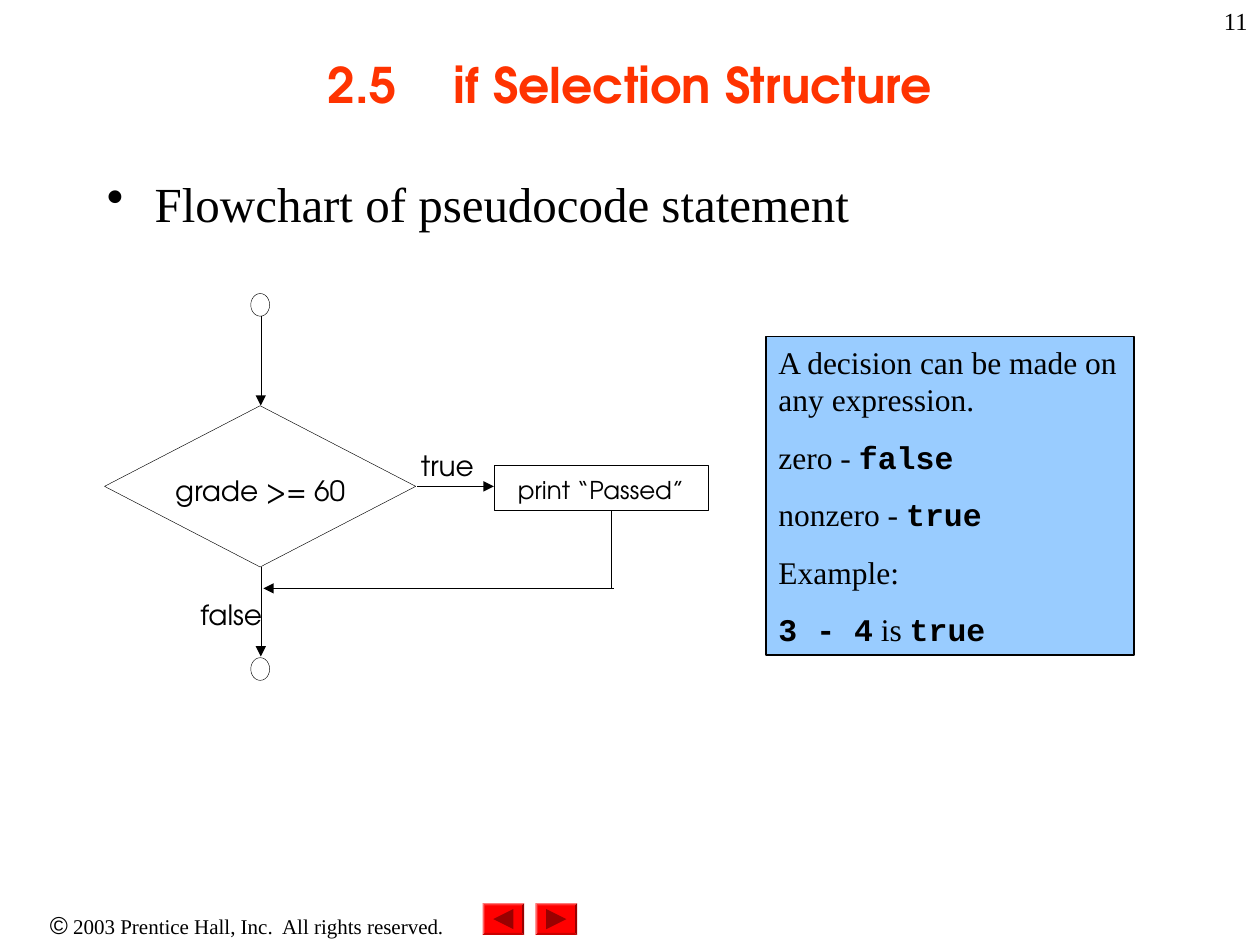
from lxml import etree
from pptx import Presentation
from pptx.dml.color import RGBColor
from pptx.enum import shapes, text
from pptx.oxml.ns import qn
from pptx.util import Inches, Pt

COLORS = {
    "text": "000000",
    "title": "FF3300",
    "note": "99CCFF",
    "paper": "FFFFFF",
    "button": "FF0000",
    "symbol": "990000",
}
SERIF, SANS, MONO, SYMBOL = "Times New Roman", "TeX Gyre Adventor", "Courier New", "Arial"
LEFT, CENTER, RIGHT = text.PP_ALIGN.LEFT, text.PP_ALIGN.CENTER, text.PP_ALIGN.RIGHT
MSO = shapes.MSO_SHAPE


class SlideBuilder:
    def __init__(self, slide):
        self.slide = slide

    def color(self, name):
        return RGBColor.from_string(COLORS[name])

    def paint(self, sp, fill=None, line=None):
        sp.shadow.inherit = False
        if fill:
            sp.fill.solid()
            sp.fill.fore_color.rgb = self.color(fill)
        else:
            sp.fill.background()
        if line:
            sp.line.color.rgb = self.color("text")
            sp.line.width = Pt(line)
        else:
            sp.line.fill.background()

    def shape(self, kind, x, y, w, h, fill=None, line=None):
        sp = self.slide.shapes.add_shape(kind, Inches(x), Inches(y), Inches(w), Inches(h))
        self.paint(sp, fill, line)
        return sp

    def line(self, x1, y1, x2, y2, arrow=True):
        cx = self.slide.shapes.add_connector(
            shapes.MSO_CONNECTOR.STRAIGHT, Inches(x1), Inches(y1), Inches(x2), Inches(y2))
        cx.line.color.rgb = self.color("text")
        cx.line.width = Pt(0.25)
        spPr = cx._element.spPr
        if arrow:
            etree.SubElement(spPr.find(qn("a:ln")), qn("a:tailEnd"), type="triangle")
        etree.SubElement(spPr, qn("a:effectLst"))

    def fill_text(self, tf, paragraphs, align=LEFT, before=0, margins=(0.1, 0.05), wrap=True):
        tf.word_wrap = wrap
        tf.margin_left = tf.margin_right = Inches(margins[0])
        tf.margin_top = tf.margin_bottom = Inches(margins[1])
        for i, runs in enumerate(paragraphs):
            p = tf.add_paragraph() if i else tf.paragraphs[0]
            p.alignment = align
            if i:
                p.space_before = Pt(before)
            for content, font, size, bold, color in runs:
                r = p.add_run()
                r.text = content
                r.font.name = font
                r.font.size = Pt(size)
                r.font.bold = bold
                r.font.color.rgb = self.color(color)

    def text(self, x, y, w, h, runs, align=LEFT, **style):
        sp = self.slide.shapes.add_textbox(Inches(x), Inches(y), Inches(w), Inches(h))
        self.fill_text(sp.text_frame, [runs], align, **style)
        return sp.text_frame

    def label(self, x, y, w, h, content, size=16, align=LEFT):
        self.text(x, y, w, h, [run(content, SANS, size)], align, margins=(0, 0), wrap=False)

    def bullet(self, p, indent):
        pPr = p._p.get_or_add_pPr()
        pPr.set("marL", str(Inches(indent)))
        pPr.set("indent", str(-Inches(indent)))
        etree.SubElement(pPr, qn("a:buChar"), char="•")

    def tab(self, p, pos):
        tabs = etree.SubElement(p._p.get_or_add_pPr(), qn("a:tabLst"))
        etree.SubElement(tabs, qn("a:tab"), pos=str(Inches(pos)), algn="l")

    def button(self, x, y, forward):
        w, h, reach = 0.33, 0.25, 0.08
        sp = self.shape(MSO.BEVEL, x, y, w, h, "button")
        sp.adjustments[0] = 0.06
        cx, cy = x + w / 2, y + h / 2
        tip = reach if forward else -reach
        points = [(cx - tip, cy - reach), (cx + tip, cy), (cx - tip, cy + reach)]
        points = [(Inches(px), Inches(py)) for px, py in points]
        builder = self.slide.shapes.build_freeform(*points[0])
        builder.add_line_segments(points[1:], close=True)
        self.paint(builder.convert_to_shape(), "symbol")


def run(content, font=SERIF, size=18, bold=False, color="text"):
    return content, font, size, bold, color


def code(content):
    return run(content, MONO, bold=True)


def main():
    prs = Presentation()
    prs.slide_width, prs.slide_height = Inches(10), Inches(7.5)
    s = SlideBuilder(prs.slides.add_slide(prs.slide_layouts[6]))

    s.text(0, 7.17, 3.92, 0.34, [
        run("©", SYMBOL, 14),
        run(" 2003 Prentice Hall, Inc.  All rights reserved.", size=12),
    ], CENTER)
    s.button(4.25, 7.17, True)
    s.button(3.83, 7.17, False)

    title = s.text(0.75, 0.08, 8.5, 1.17,
                   [run("2.5\tif Selection Structure", SANS, 28, True, "title")], CENTER)
    title.vertical_anchor = text.MSO_ANCHOR.MIDDLE
    s.tab(title.paragraphs[0], 1)
    body = s.text(0.75, 1.33, 8.5, 5.75, [run("Flowchart of pseudocode statement", size=28)])
    s.bullet(body.paragraphs[0], 0.38)

    axis, middle, join = 2.07, 3.86, 4.67
    s.line(axis, 2.51, axis, 3.22)
    s.line(axis, 4.5, axis, 5.21)
    for y in (2.33, 5.22):
        s.shape(MSO.OVAL, 1.99, y, 0.15, 0.18, line=0.25)
    s.line(3.31, middle, 3.92, middle)
    s.line(4.87, join, 2.09, join)
    s.line(4.85, 4.05, 4.85, join, arrow=False)
    s.label(3.34, 3.56, 0.55, 0.36, "true")
    s.label(1.59, 4.74, 0.67, 0.36, "false")
    s.shape(MSO.DIAMOND, 0.83, 3.22, 2.47, 1.28, "paper", 0.25)
    s.label(1.37, 3.76, 1.39, 0.27, "grade >= 60", align=CENTER)
    s.shape(MSO.RECTANGLE, 3.92, 3.69, 1.7, 0.36, line=0.25)
    s.label(4.03, 3.77, 1.48, 0.25, "print “Passed”", 14, CENTER)

    note = s.shape(MSO.RECTANGLE, 6.08, 2.67, 2.92, 2.53, "note", 0.75)
    note.text_frame.vertical_anchor = text.MSO_ANCHOR.TOP
    s.fill_text(note.text_frame, [
        [run("A decision can be made on any expression.")],
        [run("zero - "), code("false")],
        [run("nonzero - "), code("true")],
        [run("Example:")],
        [code("3 - 4"), run(" is "), code("true")],
    ], before=11.2)

    s.text(7.92, 0, 2.08, 0.5, [run("11", size=14)], RIGHT)
    prs.save("out.pptx")


if __name__ == "__main__":
    main()
